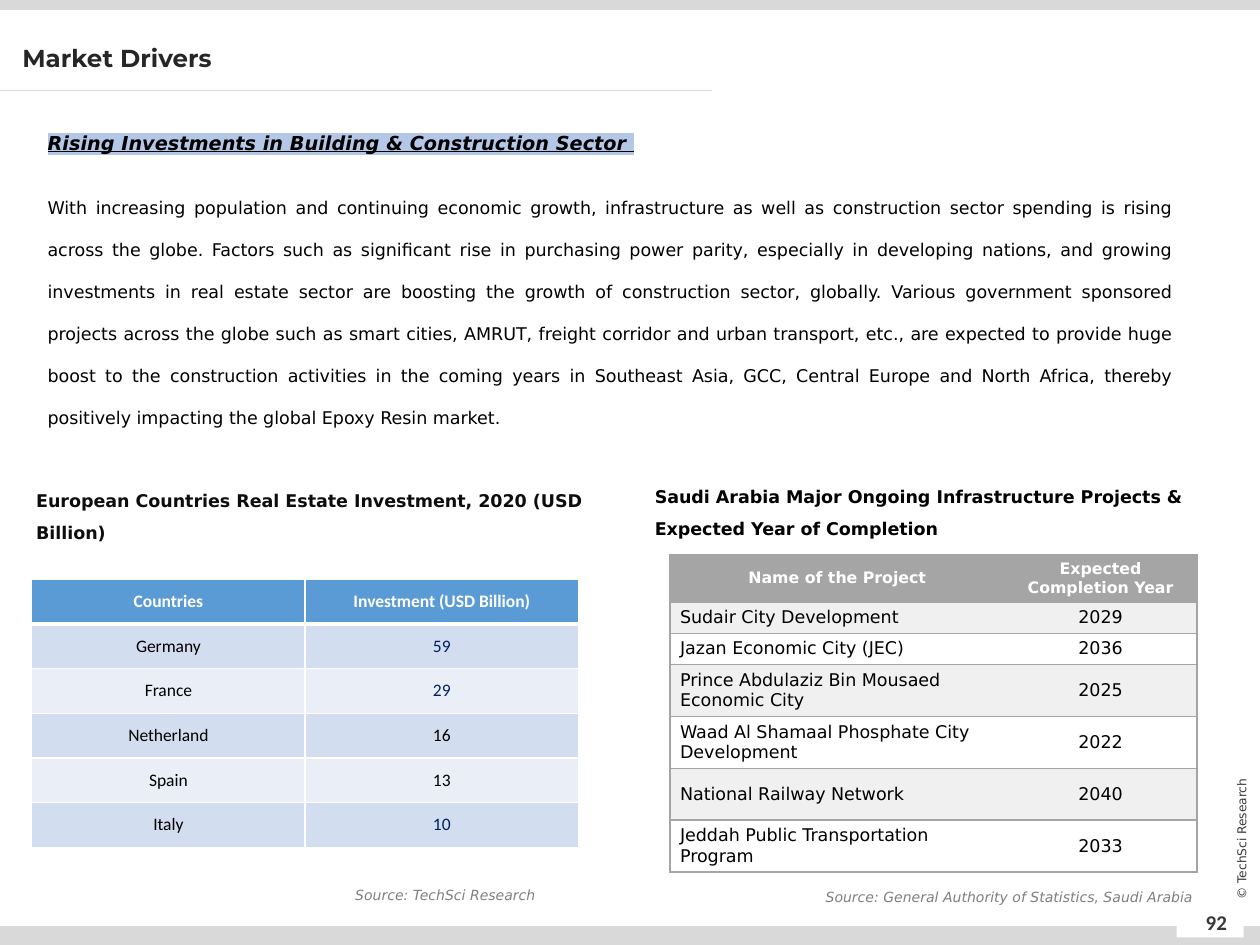
from lxml import etree
from pptx import Presentation
from pptx.dml.color import RGBColor
from pptx.enum.shapes import MSO_CONNECTOR as Connector, MSO_SHAPE as Shape
from pptx.enum.text import MSO_ANCHOR as Anchor, PP_ALIGN as Align
from pptx.oxml.ns import qn
from pptx.util import Cm, Pt

GREY, WHITE, BLACK, NAVY = "D9D9D9", "FFFFFF", "000000", "002060"
RULE, BLUE = "A5A5A5", "5B9BD5"


def colour(hex_text):
    return RGBColor.from_string(hex_text)


class SlideBuilder:
    """Holds the text style and the slide being filled."""
    font = "DejaVu Sans"

    def __init__(self, slide):
        self.slide = slide

    def bar(self, left, top, width, height, fill):
        bar = self.slide.shapes.add_shape(
            Shape.RECTANGLE, Cm(left), Cm(top), Cm(width), Cm(height))
        bar.shadow.inherit = False
        bar.fill.solid()
        bar.fill.fore_color.rgb = colour(fill)
        bar.line.fill.background()

    def rule(self, left, right, top, line, width):
        rule = self.slide.shapes.add_connector(
            Connector.STRAIGHT, Cm(left), Cm(top), Cm(right), Cm(top))
        rule.line.color.rgb = colour(line)
        rule.line.width = Pt(width)
        etree.SubElement(rule._element.spPr, qn("a:effectLst"))

    def style_text(self, paragraph, text, size, ink=BLACK, bold=False, italic=False,
                   align=Align.LEFT, spacing=None, font=None):
        paragraph.text = text
        paragraph.alignment = align
        if spacing:
            paragraph.line_spacing = spacing
        run = paragraph.runs[0]
        run.font.size, run.font.bold, run.font.italic = Pt(size), bold, italic
        run.font.color.rgb = colour(ink)
        run.font.name = font or self.font
        return run

    def frame(self, left, top, width, height, anchor=Anchor.TOP, rotation=0):
        box = self.slide.shapes.add_textbox(Cm(left), Cm(top), Cm(width), Cm(height))
        box.rotation = rotation
        box.text_frame.word_wrap = True
        box.text_frame.vertical_anchor = anchor
        return box.text_frame

    def label(self, place, text, size, anchor=Anchor.TOP, rotation=0, **style):
        frame = self.frame(*place, anchor=anchor, rotation=rotation)
        self.style_text(frame.paragraphs[0], text, size, **style)

    def highlight(self, run, fill):
        mark = etree.Element(qn("a:highlight"))
        etree.SubElement(mark, qn("a:srgbClr"), val=fill)
        run.font._element.find(qn("a:solidFill")).addnext(mark)

    def table(self, left, top, columns, heights):
        table = self.slide.shapes.add_table(
            len(heights), len(columns), Cm(left), Cm(top),
            Cm(sum(columns)), Cm(sum(heights))).table
        table.horz_banding = False
        for column, width in zip(table.columns, columns):
            column.width = Cm(width)
        for row, height in zip(table.rows, heights):
            row.height = Cm(height)
        return table

    def cell(self, cell, text, size, fill, borders, margins=None, **style):
        """Borders map a side (L, R, T, B) to (colour, points) or None."""
        properties = cell._tc.get_or_add_tcPr()
        for side in "LRTB":
            line = etree.SubElement(properties, qn(f"a:ln{side}"))
            if borders[side]:
                ink, width = borders[side]
                line.set("w", str(Pt(width)))
                solid = etree.SubElement(line, qn("a:solidFill"))
                etree.SubElement(solid, qn("a:srgbClr"), val=ink)
            else:
                etree.SubElement(line, qn("a:noFill"))
        cell.fill.solid()
        cell.fill.fore_color.rgb = colour(fill)
        cell.vertical_anchor = Anchor.MIDDLE
        if margins:
            cell.margin_left = cell.margin_right = Cm(margins[0])
            cell.margin_top = cell.margin_bottom = Cm(margins[1])
        self.style_text(cell.text_frame.paragraphs[0], text, size, **style)


INVESTMENTS = [("Countries", "Investment (USD Billion)"), ("Germany", "59"),
               ("France", "29"), ("Netherland", "16"), ("Spain", "13"),
               ("Italy", "10")]
NAVY_VALUES = {"59", "29", "10"}

PROJECTS = [("Name of the Project", "Expected Completion Year"),
            ("Sudair City Development", "2029"),
            ("Jazan Economic City (JEC)", "2036"),
            ("Prince Abdulaziz Bin Mousaed Economic City", "2025"),
            ("Waad Al Shamaal Phosphate City Development", "2022"),
            ("National Railway Network", "2040"),
            ("Jeddah Public Transportation Program", "2033")]

DRIVER = (
    "With increasing population and continuing economic growth, infrastructure as "
    "well as construction sector spending is rising across the globe. Factors such "
    "as significant rise in purchasing power parity, especially in developing "
    "nations, and growing investments in real estate sector are boosting the growth "
    "of construction sector, globally. Various government sponsored projects across "
    "the globe such as smart cities, AMRUT, freight corridor and urban transport, "
    "etc., are expected to provide huge boost to the construction activities in the "
    "coming years in Southeast Asia, GCC, Central Europe and North Africa, thereby "
    "positively impacting the global Epoxy Resin market.")


def add_page_frame(page):
    page.bar(0, 18.67, 25.4, 0.38, GREY)
    page.bar(23.72, 18.34, 1.35, 0.56, WHITE)
    page.rule(0, 14.35, 1.83, GREY, 0.5)
    page.label((23.9, 18.08, 1.24, 1.02), "92", 12, anchor=Anchor.MIDDLE,
               ink="3B3838", bold=True, align=Align.CENTER, font="Calibri")
    page.label((23.5, 16.71, 3.05, 0.41), "© TechSci Research", 7, rotation=270,
               anchor=Anchor.MIDDLE, ink="3B3838", align=Align.CENTER)
    page.bar(0, 0, 25.4, 0.2, GREY)
    page.label((0.2, 0.36, 20.4, 1.7), "Market Drivers", 14, anchor=Anchor.MIDDLE,
               ink="262626", bold=True, spacing=0.9, font="Montserrat")


def add_driver(page):
    body = page.frame(0.71, 2.29, 23.16, 15.16)
    heading = body.paragraphs[0]
    heading.space_after = Pt(2)
    run = page.style_text(
        heading, "Rising Investments in Building & Construction Sector ",
        11, bold=True, italic=True, align=Align.JUSTIFY, spacing=1.5)
    run.font.underline = True
    page.highlight(run, "B4C7E7")
    detail = body.add_paragraph()
    detail.space_before = Pt(10)
    page.style_text(detail, DRIVER, 10, align=Align.JUSTIFY, spacing=2.0)


def add_projects(page):
    page.label((12.95, 9.47, 11.89, 1.45),
               "Saudi Arabia Major Ongoing Infrastructure Projects & "
               "Expected Year of Completion", 10, bold=True, spacing=1.5)
    table = page.table(13.51, 11.18, [6.73, 3.89],
                       [0.86, 0.61, 0.61, 0.94, 0.94, 1.04, 0.94])
    edge = (RULE, 1)
    for r, record in enumerate(PROJECTS):
        head = r == 0
        fill = RULE if head else ("F0F0F0" if r % 2 else WHITE)
        for c, text in enumerate(record):
            borders = {"L": None if c else edge, "R": edge if c else None,
                       "T": edge, "B": edge}
            page.cell(table.cell(r, c), text, 9 if head else 10, fill, borders,
                      margins=(0.2, 0.1), bold=head, ink=WHITE if head else BLACK,
                      align=Align.CENTER if head or c else Align.LEFT)
    page.label((16.23, 17.78, 8.08, 0.61),
               "Source: General Authority of Statistics, Saudi Arabia", 8,
               ink="7F7F7F", italic=True, align=Align.RIGHT)


def add_investments(page):
    page.label((0.48, 9.55, 11.71, 1.45),
               "European Countries Real Estate Investment, 2020 (USD Billion)",
               10, ink="0D0D0D", bold=True, spacing=1.5)
    table = page.table(0.64, 11.68, [5.51] * 2, [0.9] * len(INVESTMENTS))
    for r, record in enumerate(INVESTMENTS):
        head = r == 0
        fill = BLUE if head else ("D2DEEF" if r % 2 else "EAEFF7")
        borders = dict.fromkeys("LRTB", (WHITE, 1))
        if head:
            borders["B"] = (WHITE, 3)
        elif r == 1:
            borders["T"] = (WHITE, 3)
        for c, text in enumerate(record):
            ink = WHITE if head else NAVY if text in NAVY_VALUES else BLACK
            page.cell(table.cell(r, c), text, 10, fill, borders, ink=ink, bold=head,
                      align=Align.CENTER, font="Calibri")
    page.label((3.84, 17.75, 7.21, 0.61), "Source: TechSci Research", 8,
               ink="808080", italic=True, align=Align.RIGHT)


def main():
    deck = Presentation()
    deck.slide_width, deck.slide_height = Cm(25.4), Cm(19.05)
    page = SlideBuilder(deck.slides.add_slide(deck.slide_layouts[6]))
    add_page_frame(page)
    add_driver(page)
    add_projects(page)
    add_investments(page)
    deck.save("out.pptx")


if __name__ == "__main__":
    main()
